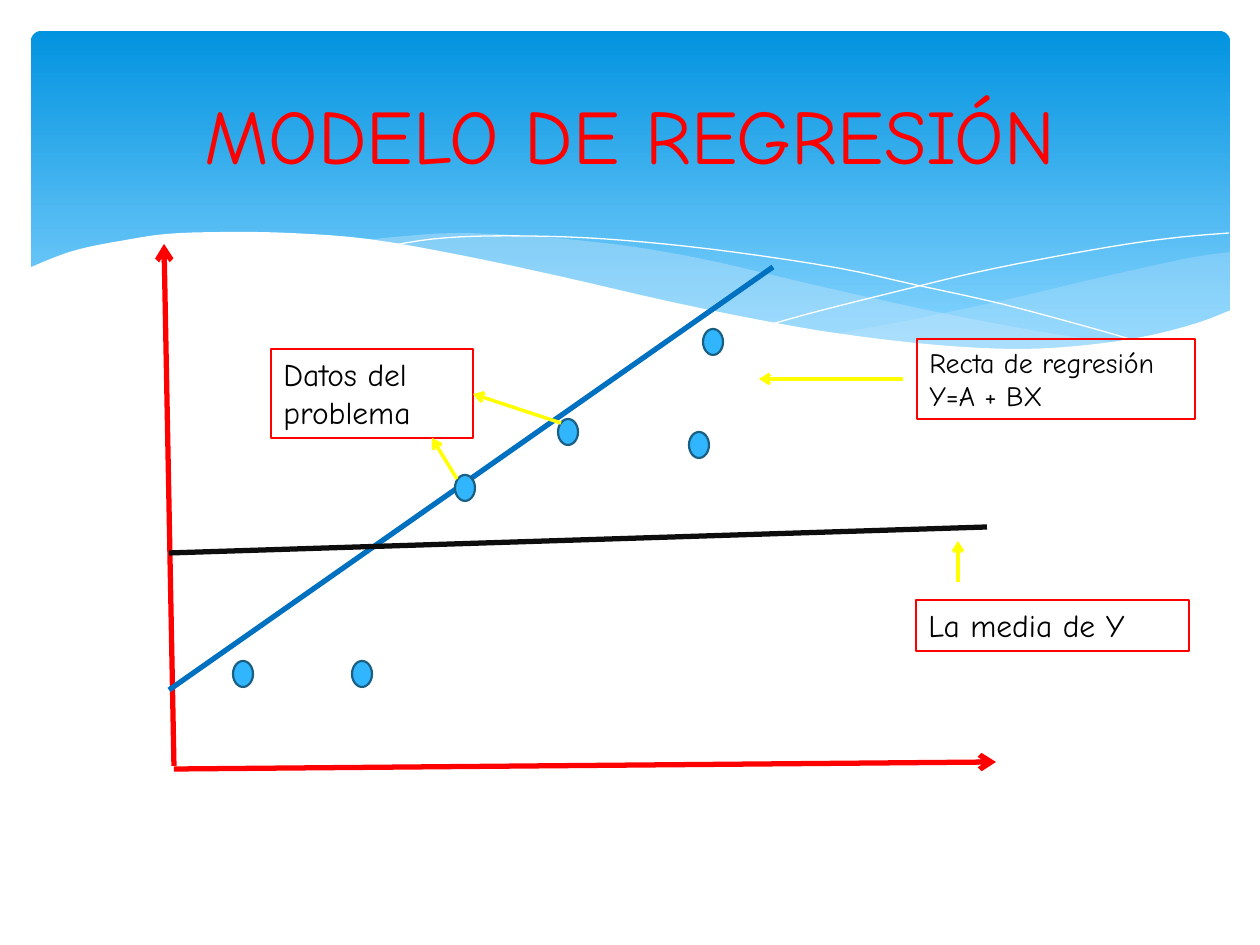
import dataclasses
import typing

import lxml.etree
import pptx
import pptx.dml.color
import pptx.enum.shapes
import pptx.enum.text
import pptx.oxml.ns
import pptx.util

SCALE = 914400 / 126
FONT = "Comic Neue"
RED, YELLOW, WHITE = "FF0000", "FFFF00", "FFFFFF"
DOT_W, DOT_H = 20, 26
SHAPES = pptx.enum.shapes.MSO_SHAPE
Points = list[tuple[float, float]]


@dataclasses.dataclass
class Line:
    start: tuple[int, int]
    end: tuple[int, int]
    color: str
    width: float
    arrow: bool = False


@dataclasses.dataclass
class Label:
    box: tuple[int, int, int, int]
    lines: list[str]
    size: int
    color: str = "000000"
    border: str | None = RED
    format: dict[str, typing.Any] = dataclasses.field(default_factory=lambda: {
        "word_wrap": True,
        "auto_size": pptx.enum.text.MSO_AUTO_SIZE.SHAPE_TO_FIT_TEXT,
    })
    align: typing.Any = pptx.enum.text.PP_ALIGN.LEFT


@dataclasses.dataclass
class Wave:
    edges: list[Points]
    fill: str | None = None
    opacity: int = 100
    corners: Points = dataclasses.field(default_factory=list)


WAVES = [
    Wave([[(1230, 252), (1194, 257), (1142, 268), (1085, 281), (1014, 298),
           (949, 312), (890, 324), (833, 334)],
          [(833, 334), (906, 343), (969, 349), (1026, 350), (1087, 347),
           (1140, 339), (1187, 326), (1230, 311)]], "C6E7FC", 29),
    Wave([[(1125, 344), (1055, 334), (977, 320), (890, 302), (793, 280),
           (717, 262), (648, 249), (586, 241), (529, 236), (455, 233),
           (394, 237), (360, 241)],
          [(360, 241), (431, 251), (509, 266), (566, 280), (668, 302),
           (757, 321), (838, 335), (910, 345), (974, 349), (1031, 350),
           (1092, 348), (1125, 344)]], "C6E7FC", 40),
    Wave([[(389, 246), (433, 239), (488, 236), (567, 237), (643, 242),
           (733, 252), (838, 268), (916, 285), (1002, 304), (1095, 329),
           (1143, 343)]]),
    Wave([[(772, 324), (823, 310), (907, 289), (978, 272), (1053, 257),
           (1128, 244), (1182, 237), (1229, 233)]]),
    Wave([[(1231, 310), (1197, 323), (1147, 336), (1087, 345), (1019, 349),
           (937, 345), (842, 334), (760, 320), (667, 301), (563, 277),
           (460, 255), (368, 239), (290, 233), (223, 232), (166, 234),
           (120, 241), (84, 248), (58, 256), (29, 268)]],
         WHITE, corners=[(29, 415), (1231, 415)]),
]
AXES_AND_FITS = [
    Line((174, 766), (164, 244), RED, 3, True),
    Line((174, 769), (996, 762), RED, 3, True),
    Line((169, 690), (773, 267), "0070C0", 3),
    Line((169, 553), (987, 527), "0D0D0D", 3),
]
POINTERS = [
    Line((903, 379), (759, 379), YELLOW, 2, True),
    Line((958, 582), (958, 541), YELLOW, 2, True),
    Line((457, 479), (432, 438), YELLOW, 2, True),
    Line((561, 423), (473, 394), YELLOW, 2, True),
]
DOTS = [(455, 475), (558, 419), (352, 661), (689, 432), (703, 329), (233, 661)]
LABELS = [
    Label((63, 47, 1134, 173), ["MODELO DE REGRESIÓN"], 44, RED, None,
          {"word_wrap": True,
           "vertical_anchor": pptx.enum.text.MSO_ANCHOR.MIDDLE},
          pptx.enum.text.PP_ALIGN.CENTER),
    Label((917, 339, 278, 80), ["Recta de regresión", "Y=A + BX"], 16),
    Label((916, 600, 273, 51), ["La media de Y"], 18),
    Label((271, 349, 202, 89), ["Datos del problema"], 18),
]


def px(*values: float) -> list[int]:
    return [round(v * SCALE) for v in values]


def rgb(value: str) -> pptx.dml.color.RGBColor:
    return pptx.dml.color.RGBColor.from_string(value)


def sub(parent: typing.Any, tag: str, **attrs: str) -> None:
    lxml.etree.SubElement(parent, pptx.oxml.ns.qn(tag), attrs)


def paint(sp: typing.Any, fill: str | None, line: str | None = None,
          width: float = 0) -> None:
    sp.shadow.inherit = False
    if fill:
        sp.fill.solid()
        sp.fill.fore_color.rgb = rgb(fill)
    else:
        sp.fill.background()
    if line:
        sp.line.color.rgb = rgb(line)
        sp.line.width = pptx.util.Pt(width)
    else:
        sp.line.fill.background()


def smooth(points: Points, steps: int = 4) -> Points:
    padded = [points[0], *points, points[-1]]
    curve = [points[0]]
    for a, b, c, d in zip(padded, padded[1:], padded[2:], padded[3:]):
        for t in (i / steps for i in range(1, steps + 1)):
            curve.append(tuple(
                (2 * q + (r - p) * t + (2 * p - 5 * q + 4 * r - s) * t ** 2
                 + (3 * q - p - 3 * r + s) * t ** 3) / 2
                for p, q, r, s in zip(a, b, c, d)))
    return curve


def draw_band(s: typing.Any) -> None:
    sp = s.shapes.add_shape(SHAPES.ROUNDED_RECTANGLE, *px(31, 31, 1199, 340))
    paint(sp, None)
    sp.adjustments[0] = 0.03
    sp.fill.gradient()
    sp.fill.gradient_angle = 270
    stops = [("0293E0", 0), ("83D3FE", 0.9)]
    for stop, (color, position) in zip(sp.fill.gradient_stops, stops):
        stop.color.rgb = rgb(color)
        stop.position = position


def draw_wave(s: typing.Any, wave: Wave) -> None:
    points = [pt for edge in wave.edges for pt in smooth(edge)] + wave.corners
    start, *rest = [tuple(px(*pt)) for pt in points]
    builder = s.shapes.build_freeform(*start)
    builder.add_line_segments(rest, close=bool(wave.fill))
    sp = builder.convert_to_shape()
    paint(sp, wave.fill, None if wave.fill else WHITE)
    if wave.opacity < 100:
        color = sp.fill._xPr.find(".//" + pptx.oxml.ns.qn("a:srgbClr"))
        sub(color, "a:alpha", val=str(wave.opacity * 1000))


def draw_line(s: typing.Any, line: Line) -> None:
    sp = s.shapes.add_connector(pptx.enum.shapes.MSO_CONNECTOR.STRAIGHT,
                                *px(*line.start, *line.end))
    sp.line.color.rgb = rgb(line.color)
    sp.line.width = pptx.util.Pt(line.width)
    if line.arrow:
        sub(sp.line._get_or_add_ln(), "a:tailEnd", type="arrow")
    sub(sp._element.spPr, "a:effectLst")


def draw_dot(s: typing.Any, left: int, top: int) -> None:
    sp = s.shapes.add_shape(SHAPES.OVAL, *px(left, top, DOT_W, DOT_H))
    paint(sp, "31B6FD", "195F84", 1.25)


def draw_label(s: typing.Any, label: Label) -> None:
    sp = s.shapes.add_textbox(*px(*label.box))
    paint(sp, None, label.border, 0.75)
    tf = sp.text_frame
    for name, value in label.format.items():
        setattr(tf, name, value)
    tf.text = "\n".join(label.lines)
    for p in tf.paragraphs:
        p.alignment = label.align
        font = p.runs[0].font
        font.color.rgb = rgb(label.color)
        for name, value in {"name": FONT, "size": pptx.util.Pt(label.size)}.items():
            setattr(font, name, value)


def main() -> None:
    prs = pptx.Presentation()
    prs.slide_width, prs.slide_height = px(1260, 945)
    s = prs.slides.add_slide(prs.slide_layouts[6])
    draw_band(s)
    for wave in WAVES:
        draw_wave(s, wave)
    for line in AXES_AND_FITS:
        draw_line(s, line)
    for dot in DOTS:
        draw_dot(s, *dot)
    for label in LABELS:
        draw_label(s, label)
    for line in POINTERS:
        draw_line(s, line)
    prs.save("out.pptx")


if __name__ == "__main__":
    main()
